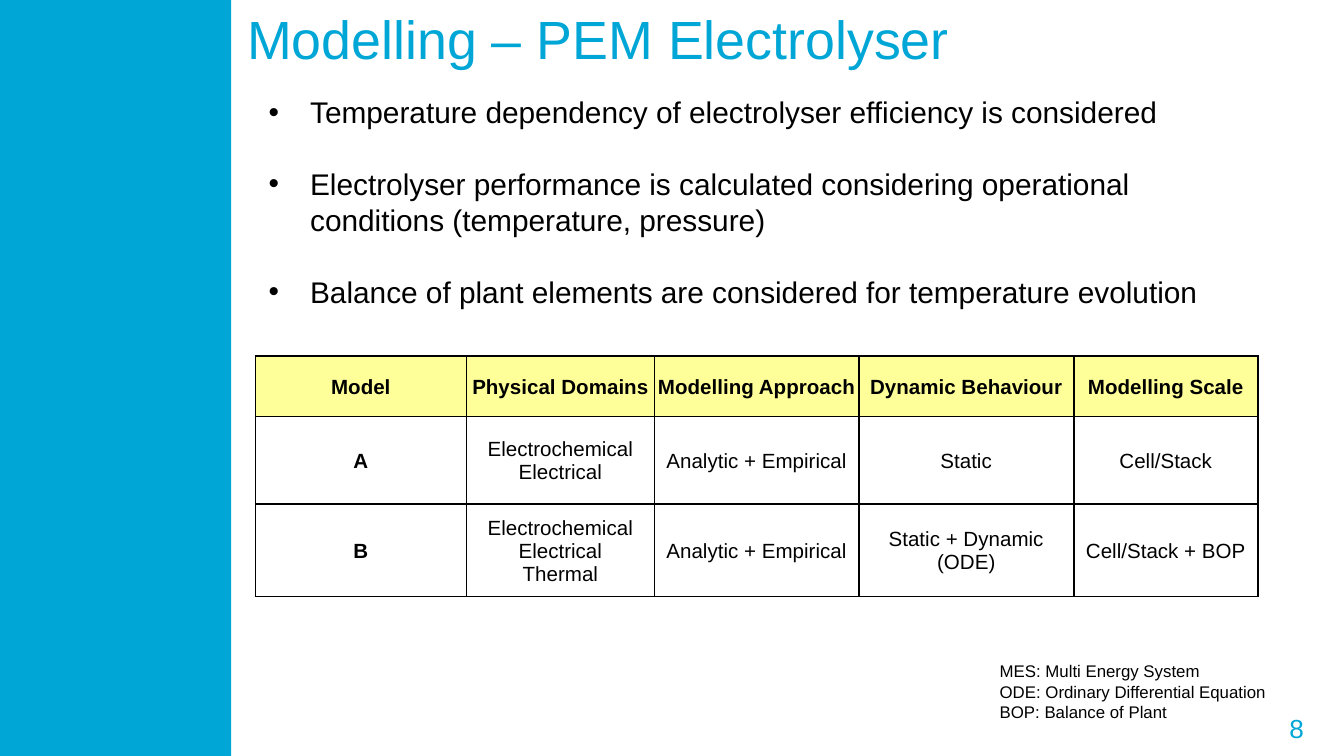
from lxml import etree
from pptx import Presentation
from pptx.dml.color import RGBColor
from pptx.enum.shapes import MSO_SHAPE
from pptx.enum.text import MSO_ANCHOR, PP_ALIGN
from pptx.oxml.ns import qn
from pptx.util import Inches, Pt

RECTANGLE = MSO_SHAPE.RECTANGLE
TOP, MIDDLE = MSO_ANCHOR.TOP, MSO_ANCHOR.MIDDLE
LEFT, CENTER, RIGHT = PP_ALIGN.LEFT, PP_ALIGN.CENTER, PP_ALIGN.RIGHT
FONT = "Arial"
CYAN, BLACK, WHITE, YELLOW = "00A6D6", "000000", "FFFFFF", "FFFF99"
SLIDE_WIDTH = 10
SLIDE_HEIGHT = SLIDE_WIDTH * 9 / 16

BULLETS = [
    "Temperature dependency of electrolyser efficiency is considered",
    "Electrolyser performance is calculated considering operational conditions (temperature, pressure)",
    "Balance of plant elements are considered for temperature evolution",
]
ABBREVIATIONS = [
    "MES: Multi Energy System",
    "ODE: Ordinary Differential Equation",
    "BOP: Balance of Plant",
]
MODEL_ROWS = [
    ["Model", "Physical Domains", "Modelling Approach", "Dynamic Behaviour", "Modelling Scale"],
    ["A", "Electrochemical\nElectrical", "Analytic + Empirical", "Static", "Cell/Stack"],
    ["B", "Electrochemical\nElectrical\nThermal", "Analytic + Empirical",
     "Static + Dynamic (ODE)", "Cell/Stack + BOP"],
]
COLUMN_WIDTHS = [1.57, 1.4, 1.52, 1.6, 1.37]
ROW_HEIGHTS = [0.45, 0.65, 0.69]


def rgb(color):
    """Turn a hex string into a colour."""
    return RGBColor.from_string(color)


def write_paragraph(paragraph, text, size, color=BLACK, bold=False, align=LEFT):
    """Write text into a paragraph, with a line break at each newline."""
    paragraph.alignment = align
    for index, line in enumerate(text.split("\n")):
        if index:
            paragraph.add_line_break()
        run = paragraph.add_run()
        run.text = line
        run.font.name = FONT
        run.font.size = Pt(size)
        run.font.bold = bold
        run.font.color.rgb = rgb(color)


def add_text(slide, box, lines, size, color=BLACK, align=LEFT, anchor=TOP):
    """Add a text box with one paragraph per line and return its paragraphs."""
    frame = slide.shapes.add_textbox(*map(Inches, box)).text_frame
    frame.word_wrap = True
    frame.vertical_anchor = anchor
    for index, line in enumerate(lines):
        paragraph = frame.add_paragraph() if index else frame.paragraphs[0]
        write_paragraph(paragraph, line, size, color, align=align)
    return frame.paragraphs


def add_side_band(slide, box):
    """Add the coloured band."""
    band = slide.shapes.add_shape(RECTANGLE, *map(Inches, box))
    band.shadow.inherit = False
    band.fill.solid()
    band.fill.fore_color.rgb = rgb(CYAN)
    band.line.fill.background()


def add_bullets(slide, box):
    """Add the bullet list, with one line of space between its items."""
    indent = Inches(0.31)
    for index, paragraph in enumerate(add_text(slide, box, BULLETS, 16)):
        paragraph.space_before = Pt(19.3 if index else 0)
        properties = paragraph._p.get_or_add_pPr()
        properties.set("marL", str(indent))
        properties.set("indent", str(-indent))
        etree.SubElement(properties, qn("a:buFont"), typeface=FONT)
        etree.SubElement(properties, qn("a:buChar"), char="•")


def set_borders(cell, color, width):
    """Draw all four borders of a cell."""
    properties = cell._tc.get_or_add_tcPr()
    for index, side in enumerate(("lnL", "lnR", "lnT", "lnB")):
        line = etree.Element(qn(f"a:{side}"), w=str(Pt(width)))
        fill = etree.SubElement(line, qn("a:solidFill"))
        etree.SubElement(fill, qn("a:srgbClr"), val=color)
        properties.insert(index, line)


def add_model_table(slide, box):
    """Add the table that compares the models."""
    table = slide.shapes.add_table(
        len(MODEL_ROWS), len(COLUMN_WIDTHS), *map(Inches, box)).table
    table.first_row = table.horz_banding = False
    for column, width in zip(table.columns, COLUMN_WIDTHS):
        column.width = Inches(width)
    for row, height in zip(table.rows, ROW_HEIGHTS):
        row.height = Inches(height)
    for row_index, texts in enumerate(MODEL_ROWS):
        for column_index, text in enumerate(texts):
            cell = table.cell(row_index, column_index)
            cell.margin_left = cell.margin_right = cell.margin_top = Inches(0.01)
            cell.margin_bottom = 0
            cell.vertical_anchor = MIDDLE
            cell.fill.solid()
            cell.fill.fore_color.rgb = rgb(WHITE if row_index else YELLOW)
            set_borders(cell, BLACK, 1)
            heading = row_index == 0 or column_index == 0
            write_paragraph(cell.text_frame.paragraphs[0], text, 11,
                            bold=heading, align=CENTER)


def main():
    """Build and save the slide."""
    presentation = Presentation()
    presentation.slide_width = Inches(SLIDE_WIDTH)
    presentation.slide_height = Inches(SLIDE_HEIGHT)
    slide = presentation.slides.add_slide(presentation.slide_layouts[6])
    add_text(slide, (7.27, 5.27, 2.53, 0.3), ["8"], 14, CYAN, RIGHT, MIDDLE)
    add_side_band(slide, (0, 0, 1.72, SLIDE_HEIGHT))
    add_text(slide, (1.74, 0, 7.77, 0.57), ["Modelling – PEM Electrolyser"],
             28.8, CYAN, anchor=MIDDLE)
    add_model_table(slide, (1.9, 2.65, 7.46, 1.79))
    add_text(slide, (7.34, 4.87, 2.24, 0.56), ABBREVIATIONS, 9)
    add_bullets(slide, (1.9, 0.65, 7.5, 1.72))
    presentation.save("out.pptx")


if __name__ == "__main__":
    main()
